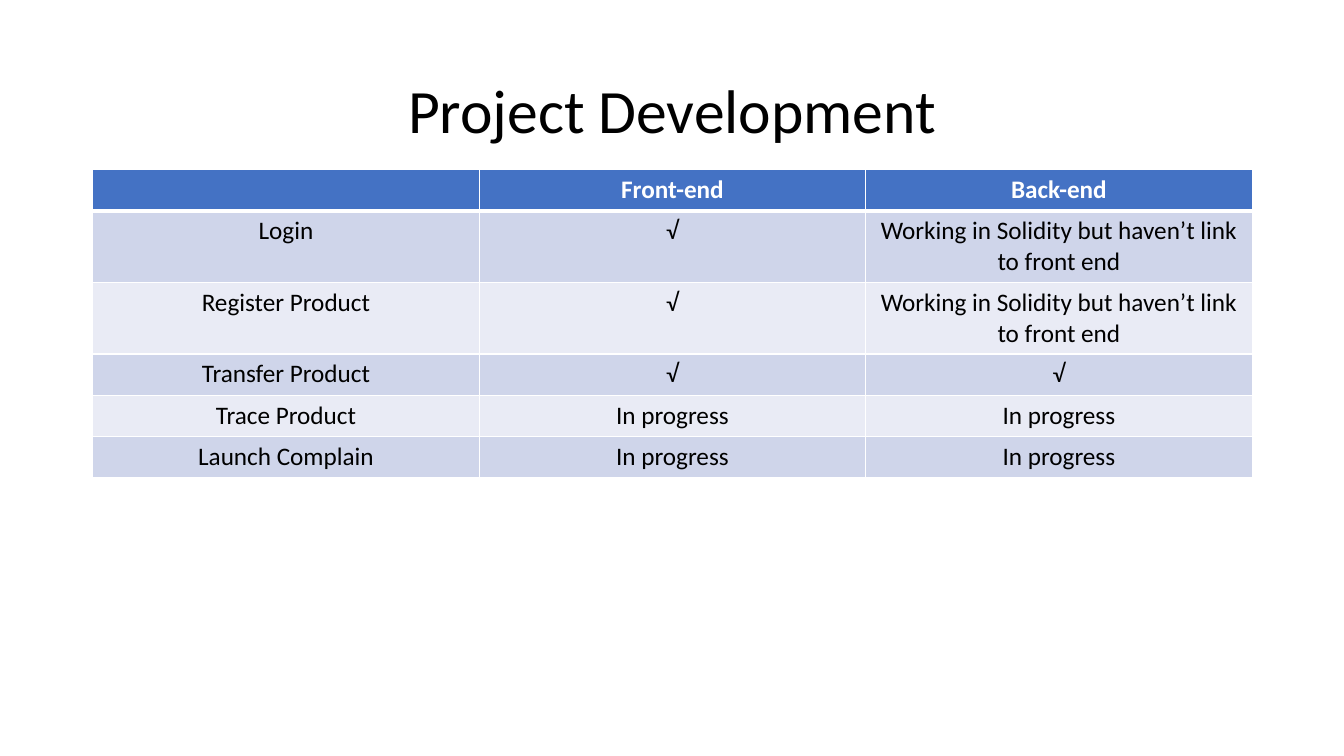
from lxml.etree import SubElement
from pptx import Presentation
from pptx.dml.color import RGBColor
from pptx.enum.text import MSO_ANCHOR, PP_ALIGN
from pptx.oxml.ns import qn
from pptx.util import Inches, Pt

TITLE = "Project Development"
UNLINKED = "Working in Solidity but haven’t link to front end"
PROGRESS_ROWS = [
    ("", "Front-end", "Back-end"),
    ("Login", "√", UNLINKED),
    ("Register Product", "√", UNLINKED),
    ("Transfer Product", "√", "√"),
    ("Trace Product", "In progress", "In progress"),
    ("Launch Complain", "In progress", "In progress"),
]

FONT = "Calibri"
BLACK = RGBColor(0x00, 0x00, 0x00)
WHITE = RGBColor(0xFF, 0xFF, 0xFF)
HEADER_BLUE = RGBColor(0x44, 0x72, 0xC4)
BANDS = (RGBColor(0xCF, 0xD5, 0xEA), RGBColor(0xE9, 0xEB, 0xF5))

LEFT, WIDTH = 0.92, 11.5
TABLE_TOP, ROW_HEIGHT = 1.68, 0.41


def write_text(text_frame, text, size=18, color=BLACK, bold=False, line_spacing=None):
    """Write one centred paragraph into a text frame."""
    paragraph = text_frame.paragraphs[0]
    paragraph.alignment = PP_ALIGN.CENTER
    paragraph.line_spacing = line_spacing
    paragraph.font.size = Pt(size)
    if text:
        run = paragraph.add_run()
        run.text = text
        run.font.name = FONT
        run.font.size = Pt(size)
        run.font.bold = bold
        run.font.color.rgb = color


def set_borders(cell, top=1, bottom=1):
    """Draw white borders around a table cell, with widths in points."""
    properties = cell._tc.get_or_add_tcPr()
    for side, width in (("L", 1), ("R", 1), ("T", top), ("B", bottom)):
        line = SubElement(properties, qn(f"a:ln{side}"), w=str(Pt(width)))
        fill = SubElement(line, qn("a:solidFill"))
        SubElement(fill, qn("a:srgbClr"), val=str(WHITE))


def add_title(slide):
    """Place the slide title."""
    title = slide.shapes.title
    title.left, title.top = Inches(LEFT), Inches(0.4)
    title.width, title.height = Inches(WIDTH), Inches(1.45)
    title.text_frame.vertical_anchor = MSO_ANCHOR.MIDDLE
    write_text(title.text_frame, TITLE, size=44, line_spacing=0.9)


def add_progress_table(slide):
    """Add the table of front-end and back-end progress."""
    row_count, column_count = len(PROGRESS_ROWS), len(PROGRESS_ROWS[0])
    table = slide.shapes.add_table(
        row_count, column_count, Inches(LEFT), Inches(TABLE_TOP),
        Inches(WIDTH), Inches(ROW_HEIGHT * row_count),
    ).table
    for row_index, texts in enumerate(PROGRESS_ROWS):
        table.rows[row_index].height = Inches(ROW_HEIGHT)
        is_header = row_index == 0
        for column_index, text in enumerate(texts):
            cell = table.cell(row_index, column_index)
            set_borders(cell, top=3 if row_index == 1 else 1, bottom=3 if is_header else 1)
            cell.fill.solid()
            cell.fill.fore_color.rgb = HEADER_BLUE if is_header else BANDS[(row_index - 1) % 2]
            write_text(cell.text_frame, text, color=WHITE if is_header else BLACK, bold=is_header)


def main():
    """Build and save the slide."""
    presentation = Presentation()
    presentation.slide_width, presentation.slide_height = Inches(13.33), Inches(7.5)
    slide = presentation.slides.add_slide(presentation.slide_layouts[5])
    add_title(slide)
    add_progress_table(slide)
    presentation.save("out.pptx")


if __name__ == "__main__":
    main()
